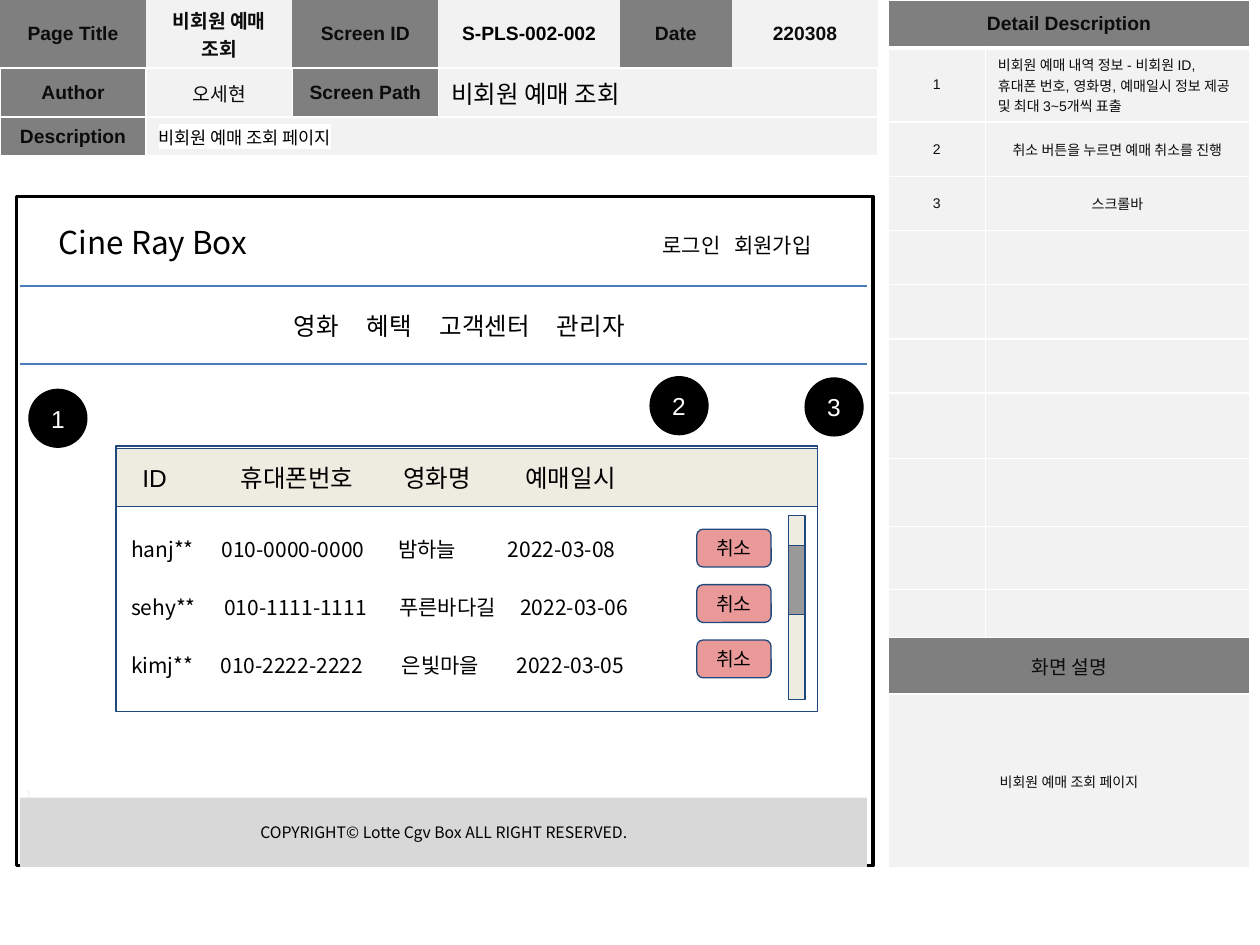
from typing import NamedTuple

from lxml import etree
from pptx import Presentation
from pptx.dml.color import RGBColor
from pptx.enum.shapes import MSO_CONNECTOR, MSO_SHAPE
from pptx.enum.text import MSO_ANCHOR, PP_ALIGN
from pptx.oxml.ns import qn
from pptx.util import Inches, Pt

RECT, ROUND, OVAL = MSO_SHAPE.RECTANGLE, MSO_SHAPE.ROUNDED_RECTANGLE, MSO_SHAPE.OVAL
LEFT, MID = PP_ALIGN.LEFT, PP_ALIGN.CENTER
CENTER = MSO_ANCHOR.MIDDLE
STRAIGHT = MSO_CONNECTOR.STRAIGHT
BLACK = RGBColor(0x00, 0x00, 0x00)
WHITE = RGBColor(0xFF, 0xFF, 0xFF)
INK = RGBColor(0x0C, 0x0C, 0x0C)
GRAY = RGBColor(0x7F, 0x7F, 0x7F)
PALE = RGBColor(0xF2, 0xF2, 0xF2)
FOOT = RGBColor(0xD8, 0xD8, 0xD8)
THUMB = RGBColor(0x99, 0x99, 0x99)
NAVY = RGBColor(0x1F, 0x49, 0x7D)
BLUE = RGBColor(0x4A, 0x7D, 0xBA)
CREAM = RGBColor(0xEE, 0xEC, 0xE1)
PINK = RGBColor(0xEA, 0x99, 0x99)
SANS, KOREAN = "Arial", "Noto Sans CJK KR"
NO_STYLE = "{2D5ABB26-0587-4C30-8999-92F81FD0307C}"


class Box(NamedTuple):
    left: float
    top: float
    width: float
    height: float


class Style(NamedTuple):
    size: float
    font: str = KOREAN
    color: RGBColor = BLACK
    bold: bool = False
    align: PP_ALIGN = MID


class Cell(NamedTuple):
    row: int
    col: int
    text: str
    style: Style
    fill: RGBColor = PALE
    span: int = 1


class Booking(NamedTuple):
    text: str
    tabs: tuple


def write(frame, text: str, style: Style, tabs: tuple = ()):
    frame.word_wrap = True
    frame.text = text
    para = frame.paragraphs[0]
    para.alignment = style.align
    if tabs:
        stops = etree.SubElement(para._p.get_or_add_pPr(), qn("a:tabLst"))
        for pos in tabs:
            etree.SubElement(stops, qn("a:tab"), pos=str(Inches(pos)), algn="l")
    for run in para.runs:
        font = run.font
        font.size, font.name, font.bold = Pt(style.size), style.font, style.bold
        font.color.rgb = style.color
        etree.SubElement(font._element, qn("a:ea"), typeface=KOREAN)


def pad(frame, left: float, top: float):
    frame.margin_left, frame.margin_top = Inches(left), Inches(top)
    frame.margin_bottom = Inches(top)


def label(slide, box: Box, text: str, style: Style, tabs: tuple = (),
          left: float = 0.1, top: float = 0.05):
    frame = slide.shapes.add_textbox(*map(Inches, box)).text_frame
    write(frame, text, style, tabs)
    pad(frame, left, top)


def draw(slide, kind, box: Box, fill=None, line=None, weight: float = 0.75):
    shape = slide.shapes.add_shape(kind, *map(Inches, box))
    shape.shadow.inherit = False
    if fill is None:
        shape.fill.background()
    else:
        shape.fill.solid()
        shape.fill.fore_color.rgb = fill
    if line is None:
        shape.line.fill.background()
    else:
        shape.line.color.rgb = line
        shape.line.width = Pt(weight)
    shape.text_frame.vertical_anchor = CENTER
    return shape


def rule(slide, left: float, right: float, top: float):
    line = slide.shapes.add_connector(STRAIGHT, *map(Inches, (left, top, right, top)))
    line.line.color.rgb = BLUE
    line.line.width = Pt(0.75)
    etree.SubElement(line._element.spPr, qn("a:effectLst"))


def edge(cell, sides: dict):
    """Put white borders on a cell; sides maps L, R, T, B (in that order) to points."""
    props = cell._tc.get_or_add_tcPr()
    for spot, (side, weight) in enumerate(sides.items()):
        line = etree.Element(qn("a:ln" + side), w=str(Pt(weight)))
        fill = etree.SubElement(line, qn("a:solidFill"))
        etree.SubElement(fill, qn("a:srgbClr"), val=str(WHITE))
        props.insert(spot, line)


def grid(slide, left: float, cols: list, rows: list, cells: list):
    size = map(Inches, (left, 0, sum(cols), sum(rows)))
    table = slide.shapes.add_table(len(rows), len(cols), *size).table
    table._tbl.tblPr.find(qn("a:tableStyleId")).text = NO_STYLE
    table.first_row = table.horz_banding = False
    for col, width in zip(table.columns, cols):
        col.width = Inches(width)
    for row, height in zip(table.rows, rows):
        row.height = Inches(height)
    for cell in table.iter_cells():
        cell.fill.solid()
        cell.fill.fore_color.rgb = PALE
        cell.vertical_anchor = CENTER
        cell.margin_top = cell.margin_bottom = Inches(0.02)
    for item in cells:
        cell = table.cell(item.row, item.col)
        if item.span > 1:
            cell.merge(table.cell(item.row, item.col + item.span - 1))
        cell.fill.fore_color.rgb = item.fill
        write(cell.text_frame, item.text, item.style)
    return table


HEAD = Style(11, SANS, INK, True)
VALUE = Style(11, SANS, BLACK, True)
PLAIN = Style(11, SANS, INK)
NOTE = Style(8, SANS, INK)
META = [
    Cell(0, 0, "Page Title", HEAD, GRAY),
    Cell(0, 1, "비회원 예매 조회", HEAD),
    Cell(0, 2, "Screen ID", HEAD, GRAY),
    Cell(0, 3, "S-PLS-002-002", VALUE),
    Cell(0, 4, "Date", HEAD, GRAY),
    Cell(0, 5, "220308", HEAD),
    Cell(1, 0, "Author", HEAD, GRAY),
    Cell(1, 1, "오세현", PLAIN),
    Cell(1, 2, "Screen Path", HEAD, GRAY),
    Cell(1, 3, "비회원 예매 조회", Style(14, SANS, align=LEFT), span=3),
    Cell(2, 0, "Description", HEAD, GRAY),
    Cell(2, 1, "비회원 예매 조회 페이지", Style(10, SANS, align=LEFT), span=5),
]
DETAIL = [
    Cell(0, 0, "Detail Description", HEAD, GRAY, 2),
    Cell(1, 0, "1", NOTE),
    Cell(1, 1, "비회원 예매 내역 정보 - 비회원 ID, 휴대폰 번호, 영화명, 예매일시 정보 "
               "제공 및 최대 3~5개씩 표출", NOTE._replace(align=LEFT)),
    Cell(2, 0, "2", NOTE),
    Cell(2, 1, "취소 버튼을 누르면 예매 취소를 진행", NOTE),
    Cell(3, 0, "3", NOTE),
    Cell(3, 1, "스크롤바", NOTE),
    Cell(11, 0, "화면 설명", PLAIN, GRAY, 2),
    Cell(12, 0, "비회원 예매 조회 페이지", NOTE, span=2),
]
BOOKINGS = [
    Booking("hanj**\t010-0000-0000\t밤하늘\t2022-03-08", (0.72, 2.12, 2.99)),
    Booking("sehy**\t010-1111-1111\t푸른바다길\t2022-03-06", (0.74, 2.13, 3.09)),
    Booking("kimj**\t010-2222-2222\t은빛마을\t2022-03-05", (0.71, 2.15, 3.06)),
]
MARKS = [(0.23, 3.09), (5.16, 2.99), (6.39, 3)]


def tables(slide):
    thin = dict.fromkeys("LRTB", 1)
    meta = grid(slide, 0, [1.16, 1.16, 1.16, 1.44, 0.89, 1.16], [0.54, 0.39, 0.31], META)
    for spot, cell in enumerate(meta.iter_cells()):
        edge(cell, {"B": 1} if spot < 6 else thin)
    run = meta.cell(2, 1).text_frame.paragraphs[0].runs[0]
    light = etree.Element(qn("a:highlight"))
    etree.SubElement(light, qn("a:srgbClr"), val=str(WHITE))
    run.font._element.find(qn("a:solidFill")).addnext(light)

    rows = [0.38, 0.59] + [0.43] * 5 + [0.52, 0.54, 0.5, 0.38, 0.45, 1.38]
    detail = grid(slide, 7.05, [0.77, 2.1], rows, DETAIL)
    thick = {0: thin | {"B": 3}, 1: thin | {"T": 3}}
    for spot, cell in enumerate(detail.iter_cells()):
        edge(cell, thick.get(spot // 2, thin))


def screen(slide):
    label(slide, Box(0.1, 6.19, 0.26, 0.24), "1", Style(8, color=PALE))
    draw(slide, RECT, Box(0.13, 1.56, 6.8, 5.31), line=BLACK, weight=2)
    label(slide, Box(0.31, 1.72, 1.81, 0.4), "Cine Ray Box", Style(18))
    label(slide, Box(5.16, 1.8, 1.56, 0.3), "로그인\t회원가입", Style(12, align=LEFT), (0.57,))
    label(slide, Box(1.95, 2.42, 3.39, 0.34), "영화\t혜택\t고객센터\t관리자",
          Style(14, align=LEFT), (0.58, 1.16, 2.09), 0.38)
    for top in (2.27, 2.89):
        rule(slide, 0.16, 6.88, top)
    foot = draw(slide, RECT, Box(0.16, 6.33, 6.72, 0.55), FOOT)
    write(foot.text_frame, "COPYRIGHT© Lotte Cgv Box ALL RIGHT RESERVED.", Style(9))


def bookings(slide):
    draw(slide, RECT, Box(0.92, 3.54, 5.57, 2.11), line=NAVY)
    head = draw(slide, RECT, Box(0.92, 3.56, 5.57, 0.46), CREAM, NAVY)
    write(head.text_frame, "ID\t휴대폰번호\t영화명\t예매일시",
          Style(14, SANS, align=LEFT), (0.78, 2.07, 3.04))
    pad(head.text_frame, 0.21, 0.1)
    draw(slide, RECT, Box(6.26, 4.09, 0.13, 1.46), CREAM, NAVY)
    draw(slide, RECT, Box(6.26, 4.33, 0.13, 0.55), THUMB, NAVY)
    for spot, item in enumerate(BOOKINGS):
        label(slide, Box(0.87, 4.16 + 0.46 * spot, 4.6, 0.4), item.text,
              Style(12, align=LEFT), item.tabs, 0.17, 0.1)
        button = draw(slide, ROUND, Box(5.53, 4.2 + 0.44 * spot, 0.59, 0.3), PINK, NAVY)
        write(button.text_frame, "취소", Style(11, SANS))
    for number, (left, top) in enumerate(MARKS, 1):
        mark = draw(slide, OVAL, Box(left, top, 0.46, 0.46), BLACK, BLACK)
        write(mark.text_frame, str(number), Style(14, SANS, WHITE))


def main():
    deck = Presentation()
    deck.slide_width, deck.slide_height = Inches(10), Inches(7.5)
    slide = deck.slides.add_slide(deck.slide_layouts[6])
    tables(slide)
    screen(slide)
    bookings(slide)
    deck.save("out.pptx")


if __name__ == "__main__":
    main()
